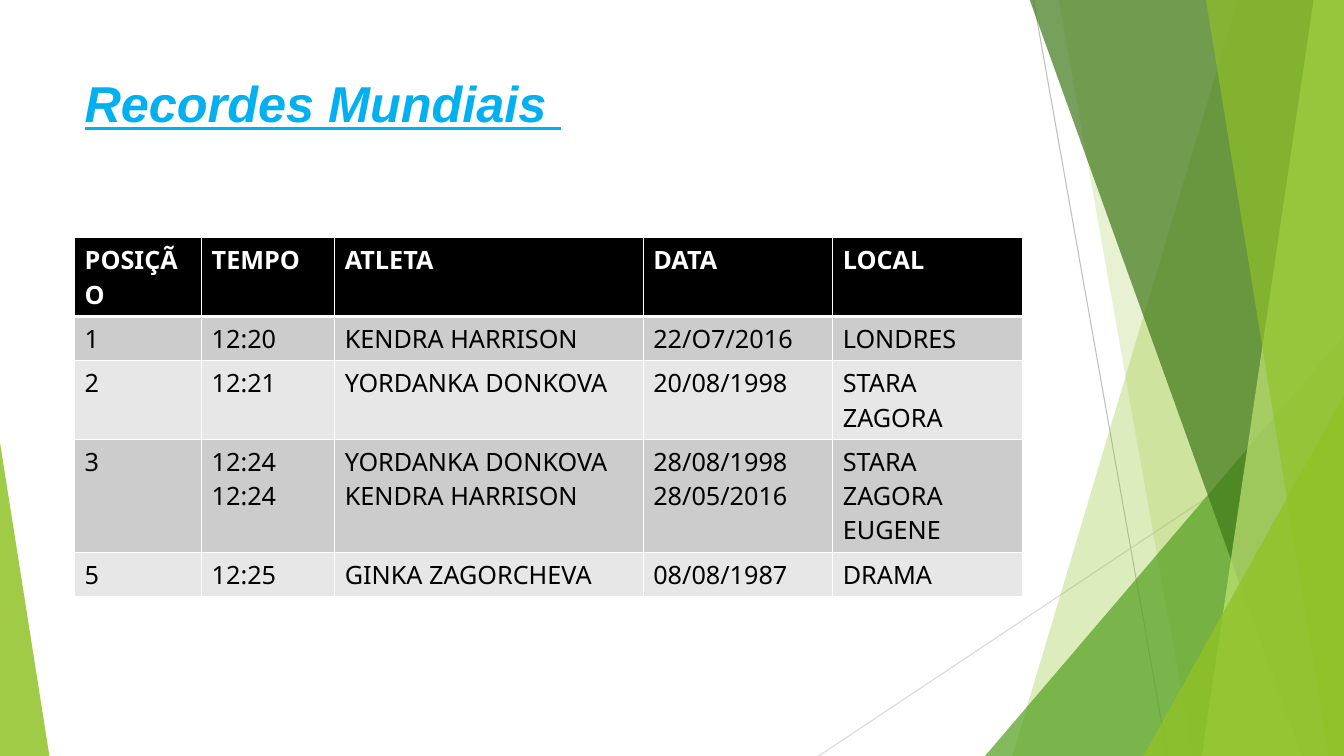
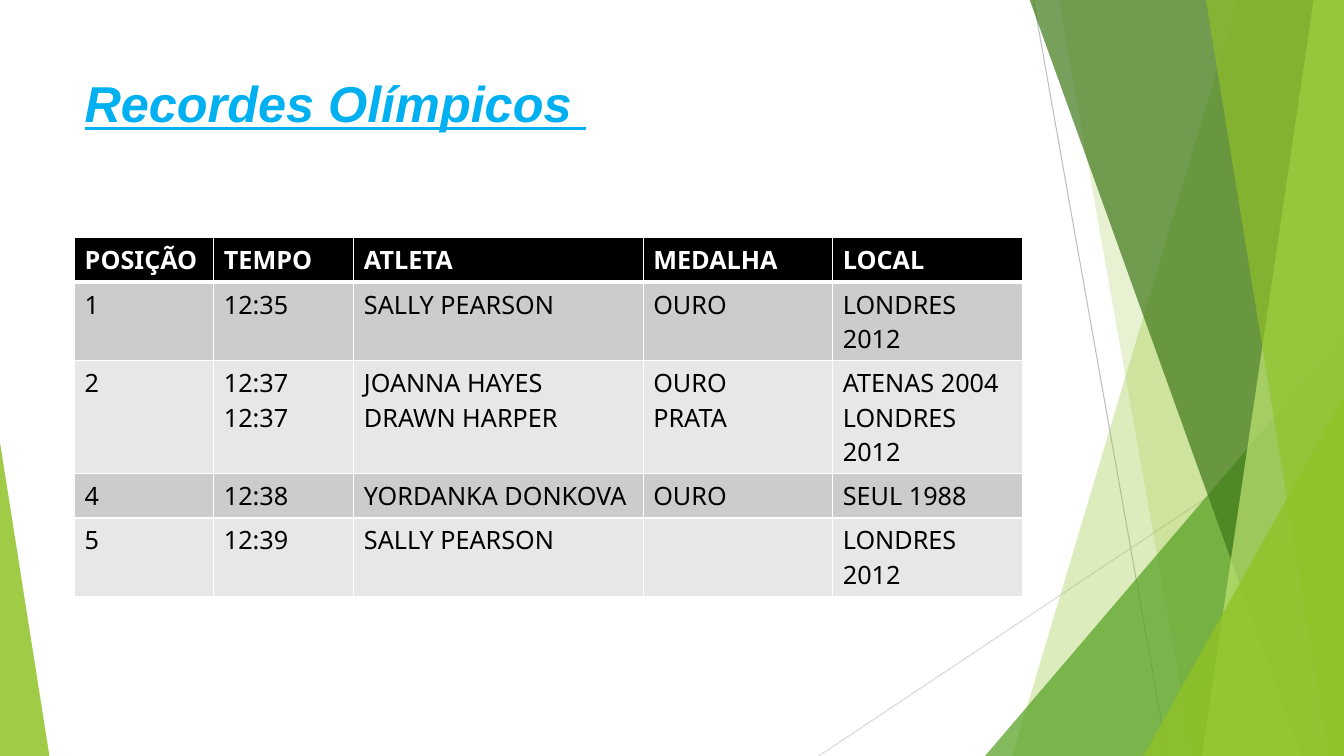
"""Two slides of hurdles records with a shared faceted green frame."""
from typing import NamedTuple

from lxml import etree
from pptx import Presentation
from pptx import util as u
from pptx.dml.color import RGBColor
from pptx.enum import shapes, text
from pptx.oxml import ns

WIDTH, HEIGHT = 13.33, 7.5
TOP = -0.01
LEFT, CONTENT_WIDTH = 0.74, 9.4
LINE_HEIGHT, CELL_PADDING = 0.34, 0.1

WHITE = RGBColor(0xFF, 0xFF, 0xFF)
BLACK = RGBColor(0, 0, 0)
SKY = RGBColor(0x00, 0xB0, 0xF0)
LIME = RGBColor(0x90, 0xC2, 0x26)
PALE_LIME = RGBColor(0xC0, 0xE4, 0x74)
LEAF = RGBColor(0x54, 0xA0, 0x21)
FOREST = RGBColor(0x3F, 0x78, 0x19)
SILVER = RGBColor(0xBF, 0xBF, 0xBF)
LIGHT_SILVER = RGBColor(0xD9, 0xD9, 0xD9)
BANDS = (RGBColor(0xCC, 0xCC, 0xCC), RGBColor(0xE7, 0xE7, 0xE7))


class Ray(NamedTuple):
    """A thin line across the frame."""
    start: tuple[float, float]
    end: tuple[float, float]
    color: RGBColor


class Facet(NamedTuple):
    """A panel from a slanted edge to the right side of the page."""
    top_x: float
    bottom_x: float
    color: RGBColor
    opacity: int


class Wedge(NamedTuple):
    """A right triangle standing on the bottom of the page."""
    left: float
    top: float
    width: float
    apex: float
    color: RGBColor
    opacity: int


class Records(NamedTuple):
    """A titled table; line_counts holds the wrapped lines of each row."""
    title: str
    widths: tuple[float, ...]
    line_counts: tuple[int, ...]
    rows: tuple[tuple[str, ...], ...]


RAYS = (
    Ray((10.25, 0), (11.58, HEIGHT), SILVER),
    Ray((WIDTH, 4.03), (8.12, HEIGHT), LIGHT_SILVER),
)
FRAME = (
    Facet(12.28, 10.04, LIME, 30),
    Facet(10.5, 11.83, LIME, 20),
    Wedge(9.77, 3.33, 3.56, 1, LEAF, 72),
    Facet(10.21, 12.91, FOREST, 70),
    Facet(13.03, 11.92, PALE_LIME, 70),
    Facet(11.96, 13.18, LIME, 65),
    Wedge(11.34, 3.93, 1.99, 1, LIME, 80),
    Wedge(0, 4.39, 0.49, 0, LIME, 85),
)
PAGES = (
    Records("Recordes Mundiais ", (1.26, 1.32, 3.06, 1.88, 1.88), (2, 1, 2, 3, 1), (
        ("POSIÇÃO ", "TEMPO", "ATLETA", "DATA", "LOCAL"),
        ("1", "12:20", "KENDRA HARRISON", "22/O7/2016", "LONDRES "),
        ("2", "12:21", "YORDANKA DONKOVA", "20/08/1998", "STARA ZAGORA"),
        ("3", "12:24\n12:24", "YORDANKA DONKOVA\nKENDRA HARRISON",
         "28/08/1998\n28/05/2016", "STARA ZAGORA\nEUGENE"),
        ("5", "12:25", "GINKA ZAGORCHEVA ", "08/08/1987", "DRAMA"),
    )),
    Records("Recordes Olímpicos ", (1.38, 1.39, 2.87, 1.88, 1.88), (1, 2, 3, 1, 2), (
        ("POSIÇÃO", "TEMPO", "ATLETA", "MEDALHA", "LOCAL"),
        ("1", "12:35", "SALLY PEARSON", "OURO", "LONDRES 2012"),
        ("2", "12:37\n12:37", "JOANNA HAYES\nDRAWN HARPER",
         "OURO\nPRATA", "ATENAS 2004\nLONDRES 2012"),
        ("4", "12:38", "YORDANKA DONKOVA", "OURO", "SEUL 1988"),
        ("5", "12:39", "SALLY PEARSON", "", "LONDRES 2012 "),
    )),
)


def paint(shape, color: RGBColor, opacity: int) -> None:
    """Give a shape a see-through fill without line or shadow."""
    shape.shadow.inherit = False
    shape.line.fill.background()
    shape.fill.solid()
    shape.fill.fore_color.rgb = color
    tint = shape.element.spPr.find(ns.qn("a:solidFill"))[0]
    etree.SubElement(tint, ns.qn("a:alpha"), val=str(opacity * 1000))


def draw_ray(page, ray: Ray) -> None:
    """Draw one thin line."""
    ends = [u.Inches(value) for value in ray.start + ray.end]
    line = page.shapes.add_connector(shapes.MSO_CONNECTOR.STRAIGHT, *ends)
    line.line.color.rgb = ray.color
    line.line.width = u.Pt(0.75)
    etree.SubElement(line.element.spPr, ns.qn("a:effectLst"))


def draw_facet(page, facet: Facet) -> None:
    """Draw one slanted panel."""
    corners = ((facet.top_x, TOP), (WIDTH, TOP),
               (WIDTH, HEIGHT), (facet.bottom_x, HEIGHT))
    points = [(u.Inches(x), u.Inches(y)) for x, y in corners]
    outline = page.shapes.build_freeform(*points[0])
    outline.add_line_segments(points[1:], close=True)
    paint(outline.convert_to_shape(), facet.color, facet.opacity)


def draw_wedge(page, wedge: Wedge) -> None:
    """Draw one right triangle."""
    shape = page.shapes.add_shape(
        shapes.MSO_SHAPE.ISOSCELES_TRIANGLE,
        u.Inches(wedge.left), u.Inches(wedge.top),
        u.Inches(wedge.width), u.Inches(HEIGHT - wedge.top))
    shape.adjustments[0] = wedge.apex
    paint(shape, wedge.color, wedge.opacity)


def draw_frame(page) -> None:
    """Draw the lines and green panels shared by all pages."""
    for ray in RAYS:
        draw_ray(page, ray)
    for part in FRAME:
        if isinstance(part, Facet):
            draw_facet(page, part)
        else:
            draw_wedge(page, part)


def add_span(para, words: str, font: str, size: int, color: RGBColor, bold: bool):
    """Add one formatted run and return it."""
    span = para.add_run()
    span.text = words
    span.font.name = font
    span.font.size = u.Pt(size)
    span.font.color.rgb = color
    span.font.bold = bold
    return span


def draw_title(page, title: str) -> None:
    """Write the page title."""
    box = page.shapes.add_textbox(u.Inches(LEFT), u.Inches(0.67),
                                  u.Inches(CONTENT_WIDTH), u.Inches(1.44))
    frame = box.text_frame
    frame.word_wrap = True
    frame.vertical_anchor = text.MSO_ANCHOR.TOP
    span = add_span(frame.paragraphs[0], title, "Arial", 36, SKY, True)
    span.font.italic = True
    span.font.underline = True


def add_border(cell, side: str, points: int) -> None:
    """Add a white border to one side of a cell."""
    properties = cell._tc.get_or_add_tcPr()
    border = etree.SubElement(properties, ns.qn(f"a:ln{side}"), w=str(u.Pt(points)))
    fill = etree.SubElement(border, ns.qn("a:solidFill"))
    etree.SubElement(fill, ns.qn("a:srgbClr"), val=str(WHITE))


def fill_cell(cell, words: str, row: int) -> None:
    """Style one cell by its row and write its lines."""
    header = row == 0
    borders = {"L": 1, "R": 1, "T": 3 if row == 1 else 1, "B": 3 if header else 1}
    for side, points in borders.items():
        add_border(cell, side, points)
    cell.fill.solid()
    cell.fill.fore_color.rgb = BLACK if header else BANDS[(row - 1) % 2]
    frame = cell.text_frame
    for index, line in enumerate(words.splitlines()):
        para = frame.add_paragraph() if index else frame.paragraphs[0]
        add_span(para, line, "Noto Sans", 18, WHITE if header else BLACK, header)


def draw_table(page, records: Records) -> None:
    """Draw the table with rows tall enough for their wrapped lines."""
    heights = [CELL_PADDING + LINE_HEIGHT * lines for lines in records.line_counts]
    table = page.shapes.add_table(
        len(records.rows), len(records.widths), u.Inches(LEFT), u.Inches(2.36),
        u.Inches(CONTENT_WIDTH), u.Inches(sum(heights))).table
    for column, width in zip(table.columns, records.widths):
        column.width = u.Inches(width)
    for row, values in enumerate(records.rows):
        table.rows[row].height = u.Inches(heights[row])
        for column, words in enumerate(values):
            fill_cell(table.cell(row, column), words, row)


def main() -> None:
    """Build and save the deck."""
    deck = Presentation()
    deck.slide_width, deck.slide_height = u.Inches(WIDTH), u.Inches(HEIGHT)
    for records in PAGES:
        page = deck.slides.add_slide(deck.slide_layouts[6])
        draw_frame(page)
        draw_title(page, records.title)
        draw_table(page, records)
    deck.save("out.pptx")


main()
